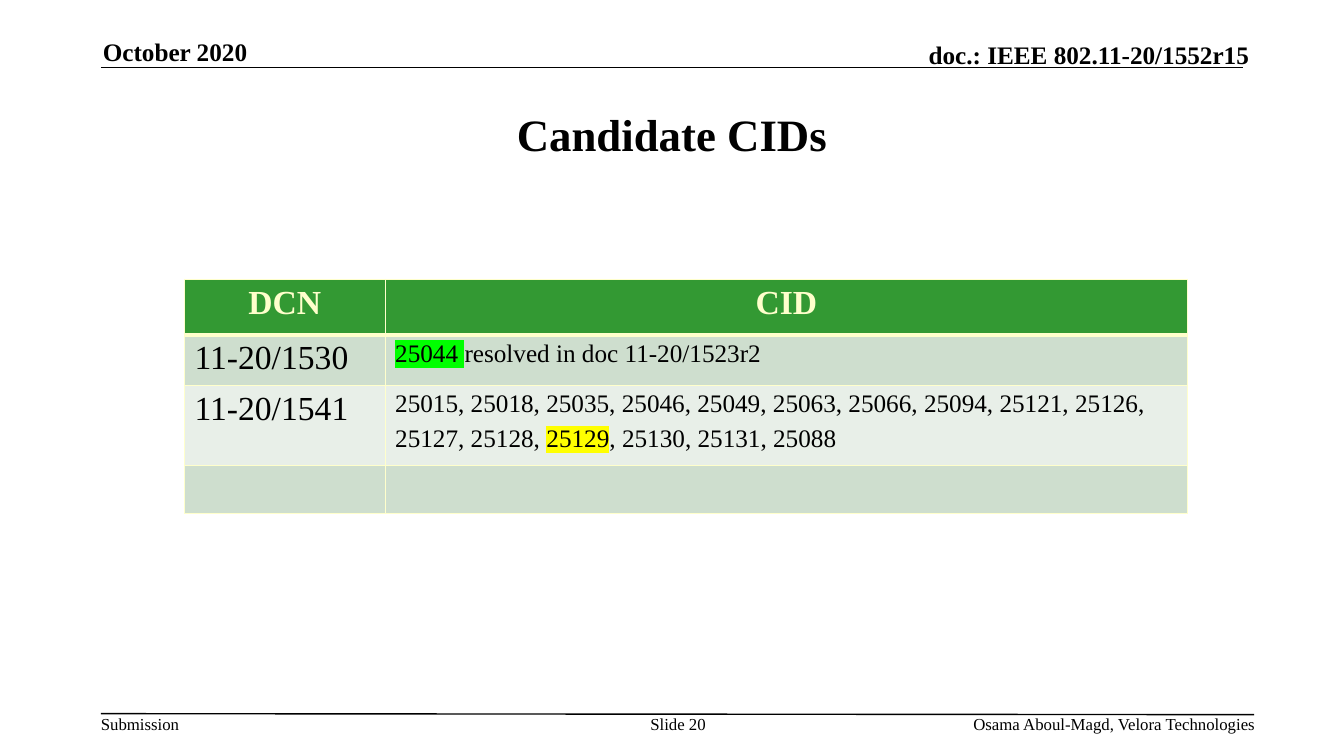
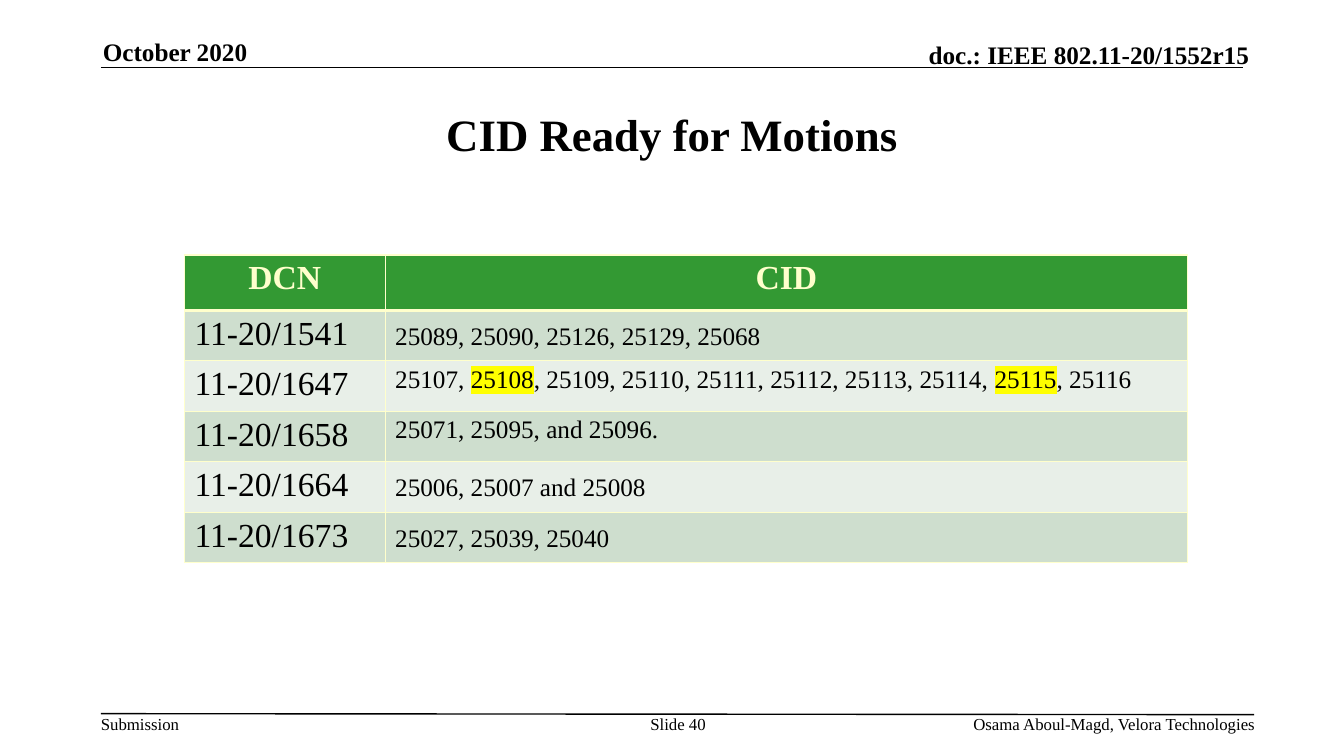
from lxml import etree
from pptx import Presentation
from pptx.dml.color import RGBColor
from pptx.enum import shapes, text
from pptx.oxml import ns
from pptx.util import Inches, Pt

FONT = "Times New Roman"
BLACK = RGBColor(0x00, 0x00, 0x00)
CREAM = RGBColor(0xFF, 0xFF, 0xCC)
GREEN = RGBColor(0x33, 0x99, 0x33)
BANDS = (RGBColor(0xCE, 0xDE, 0xCE), RGBColor(0xE8, 0xEF, 0xE8))
LIME = RGBColor(0x00, 0xFF, 0x00)
YELLOW = RGBColor(0xFF, 0xFF, 0x00)

LEFT, CENTER, RIGHT = text.PP_ALIGN.LEFT, text.PP_ALIGN.CENTER, text.PP_ALIGN.RIGHT
TOP, MIDDLE, BOTTOM = text.MSO_ANCHOR.TOP, text.MSO_ANCHOR.MIDDLE, text.MSO_ANCHOR.BOTTOM

# A run is (text, size, highlight); the space at 24 pt sets the line height.
TALL_SPACE = (" ", 24, None)


def cids(words, highlight=None):
    return (words, 18, highlight)


# Each row: document number, then lines of runs.
SLIDES = [
    {
        "title": "Candidate CIDs", "number": 20, "top": 2.77,
        "rows": [
            ("11-20/1530", [[cids("25044 ", LIME), cids("resolved in doc 11-20/1523r2")]]),
            ("11-20/1541", [
                [cids("25015, 25018, 25035, 25046, 25049, 25063, 25066, 25094, 25121, 25126,")],
                [cids("25127, 25128, "), cids("25129", YELLOW),
                 cids(", 25130, 25131, 25088"), TALL_SPACE],
            ]),
            ("", []),
        ],
    },
    {
        "title": "CID Ready for Motions", "number": 40, "top": 2.53,
        "rows": [
            ("11-20/1541", [[cids("25089, 25090, 25126, 25129, 25068"), TALL_SPACE]]),
            ("11-20/1647", [[
                cids("25107, "), cids("25108", YELLOW),
                cids(", 25109, 25110, 25111, 25112, 25113, 25114, "),
                cids("25115", YELLOW), cids(", 25116"),
            ]]),
            ("11-20/1658", [[cids("25071, 25095, and 25096.")]]),
            ("11-20/1664", [[cids("25006, 25007 and 25008"), TALL_SPACE]]),
            ("11-20/1673", [[cids("25027, 25039, 25040"), TALL_SPACE]]),
        ],
    },
]

# Text, box, alignment, anchor, size, bold
PAGE_TEXTS = [
    ("October 2020", (1.02, 0.36, 2.73, 0.3), LEFT, BOTTOM, 18, True),
    ("doc.: IEEE 802.11-20/1552r15", (7.29, 0.39, 5.1, 0.3), RIGHT, BOTTOM, 18, True),
    ("Submission", (1, 7.08, 0.79, 0.2), LEFT, TOP, 12, False),
    ("Slide {number}", (6.34, 7.08, 0.77, 0.4), CENTER, TOP, 12, False),
    ("Osama Aboul-Magd, Velora Technologies", (7.81, 7.08, 4.64, 0.2), RIGHT, TOP, 12, False),
]
PAGE_RULES = [(1, 0.67, 12.33, 0.67), (1, 7.08, 12.44, 7.09)]

TITLE_BOX = (1, 0.75, 11.33, 1.16)
TABLE_LEFT = 1.83
COLUMN_WIDTHS = (1.99, 7.96)
HEADER_HEIGHT, ROW_HEIGHT = 0.55, 0.47


def style(font, size, color=BLACK, bold=False):
    font.size, font.bold = Pt(size), bold
    font.color.rgb = color
    font.name = FONT


def add_run(paragraph, words, size, highlight=None, color=BLACK, bold=False):
    run = paragraph.add_run()
    run.text = words
    style(run.font, size, color, bold)
    if highlight is not None:
        mark = etree.Element(ns.qn("a:highlight"))
        etree.SubElement(mark, ns.qn("a:srgbClr"), val=str(highlight))
        run.font._element.find(ns.qn("a:solidFill")).addnext(mark)


def add_page_frame(slide, number):
    """Draw the header, the footer and their rules."""
    for x1, y1, x2, y2 in PAGE_RULES:
        rule = slide.shapes.add_connector(
            shapes.MSO_CONNECTOR.STRAIGHT, Inches(x1), Inches(y1), Inches(x2), Inches(y2))
        rule.line.color.rgb = BLACK
        rule.line.width = Pt(1)
        etree.SubElement(rule._element.spPr, ns.qn("a:effectLst"))
    for words, box, align, anchor, size, bold in PAGE_TEXTS:
        frame = slide.shapes.add_textbox(*map(Inches, box)).text_frame
        frame.margin_left = frame.margin_right = frame.margin_top = frame.margin_bottom = 0
        frame.word_wrap = words != "Submission"
        frame.vertical_anchor = anchor
        frame.paragraphs[0].alignment = align
        add_run(frame.paragraphs[0], words.format(number=number), size, bold=bold)


def set_title(slide, words):
    title = slide.shapes.title
    title.left, title.top, title.width, title.height = map(Inches, TITLE_BOX)
    frame = title.text_frame
    frame.text = words
    frame.auto_size = text.MSO_AUTO_SIZE.NONE
    frame.vertical_anchor = MIDDLE
    frame.paragraphs[0].alignment = CENTER
    style(frame.paragraphs[0].runs[0].font, 32, bold=True)


def paint_cell(cell, fill, top=1, bottom=1):
    """Set the borders (top and bottom in points), then the fill."""
    properties = cell._tc.get_or_add_tcPr()
    for side, points in (("L", 1), ("R", 1), ("T", top), ("B", bottom)):
        line = etree.SubElement(properties, ns.qn(f"a:ln{side}"), w=str(Pt(points)))
        paint = etree.SubElement(line, ns.qn("a:solidFill"))
        etree.SubElement(paint, ns.qn("a:srgbClr"), val=str(CREAM))
    cell.fill.solid()
    cell.fill.fore_color.rgb = fill


def add_cid_table(slide, top, rows):
    height = HEADER_HEIGHT + ROW_HEIGHT * len(rows)
    table = slide.shapes.add_table(
        len(rows) + 1, len(COLUMN_WIDTHS), Inches(TABLE_LEFT), Inches(top),
        Inches(sum(COLUMN_WIDTHS)), Inches(height)).table
    for column, width in zip(table.columns, COLUMN_WIDTHS):
        column.width = Inches(width)
    for row in table.rows:
        row.height = Inches(ROW_HEIGHT)
    table.rows[0].height = Inches(HEADER_HEIGHT)

    for cell, heading in zip(table.rows[0].cells, ("DCN", "CID")):
        paint_cell(cell, GREEN, bottom=3)
        paragraph = cell.text_frame.paragraphs[0]
        paragraph.alignment = CENTER
        add_run(paragraph, heading, 24, color=CREAM, bold=True)

    for index, (dcn, lines) in enumerate(rows):
        dcn_cell, cid_cell = table.rows[index + 1].cells
        for cell in (dcn_cell, cid_cell):
            paint_cell(cell, BANDS[index % 2], top=1 if index else 3)
        if dcn:
            add_run(dcn_cell.text_frame.paragraphs[0], dcn, 24)
        for number, line in enumerate(lines):
            frame = cid_cell.text_frame
            paragraph = frame.add_paragraph() if number else frame.paragraphs[0]
            for run in line:
                add_run(paragraph, *run)


def main():
    deck = Presentation()
    deck.slide_width, deck.slide_height = Inches(13.33), Inches(7.5)
    title_only = deck.slide_layouts[5]
    for content in SLIDES:
        slide = deck.slides.add_slide(title_only)
        add_page_frame(slide, content["number"])
        set_title(slide, content["title"])
        add_cid_table(slide, content["top"], content["rows"])
    deck.save("out.pptx")


if __name__ == "__main__":
    main()
